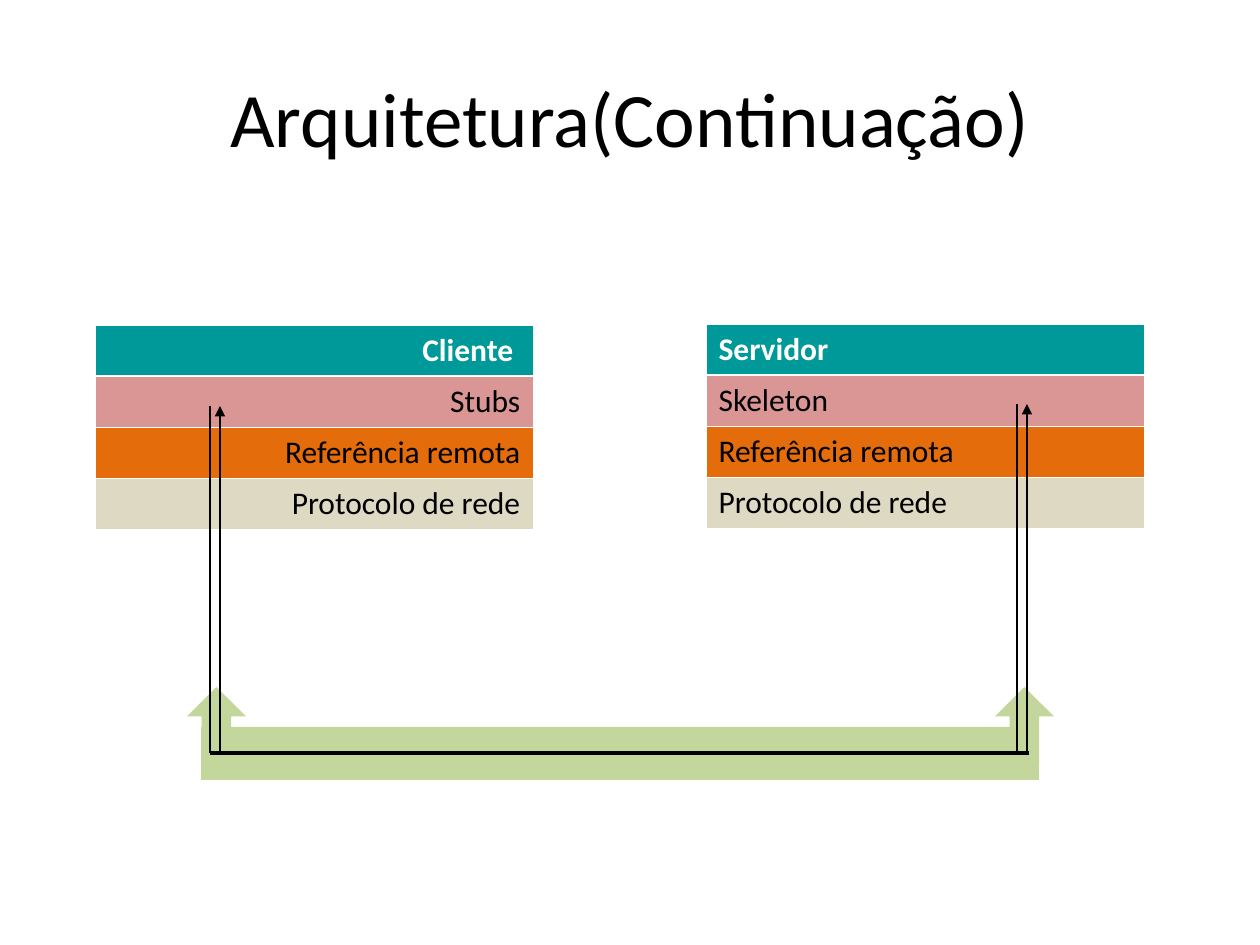
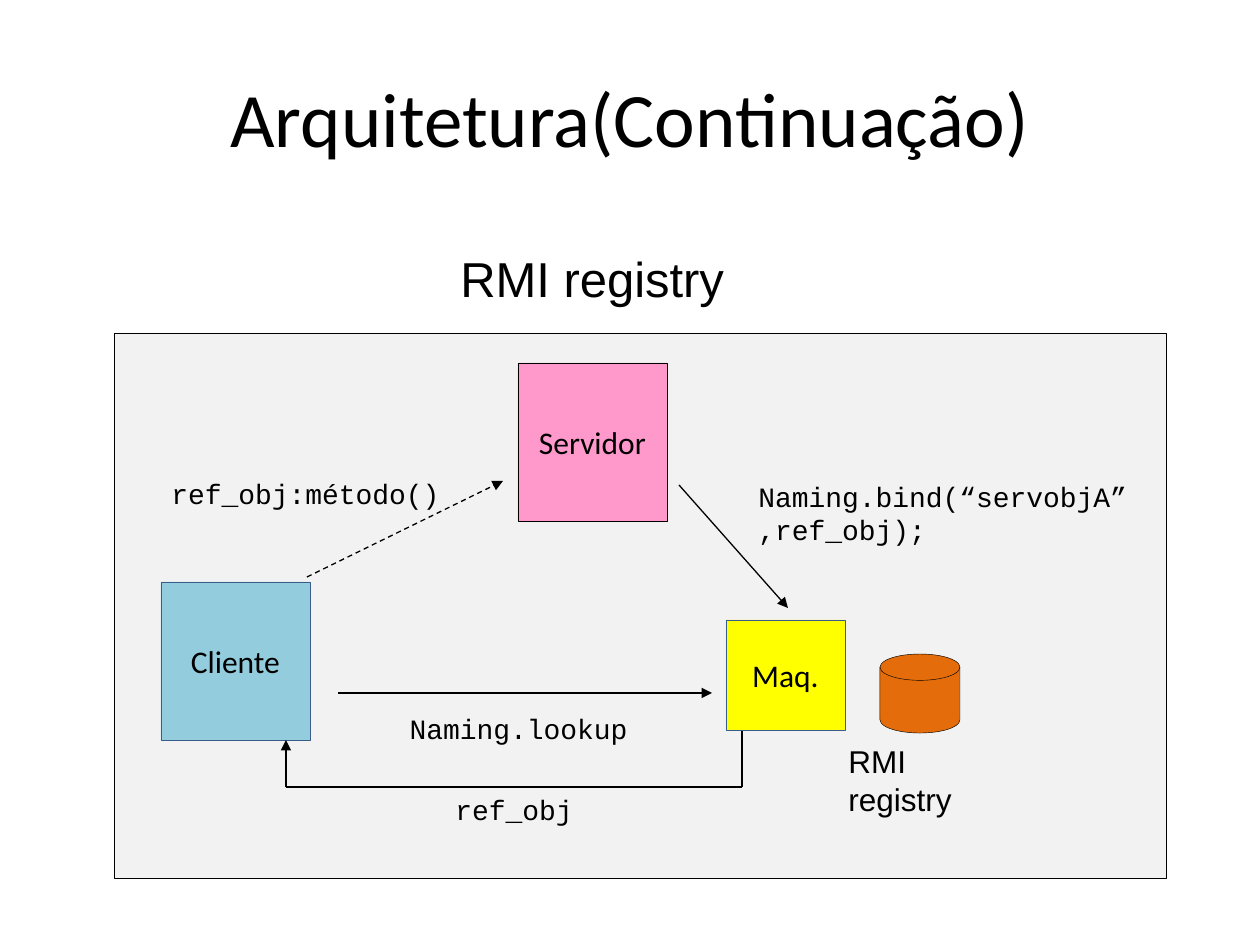
from pptx import Presentation
from pptx.util import Emu, Pt
from pptx.dml.color import RGBColor
from pptx.enum.dml import MSO_LINE
from pptx.enum.shapes import MSO_SHAPE as SHAPE, MSO_CONNECTOR
from pptx.enum.text import PP_ALIGN as ALIGN, MSO_ANCHOR as ANCHOR
from pptx.oxml.ns import qn
from lxml.etree import SubElement, Element

PX = 914400 // 126
HEX = {"black": "000000", "white": "FFFFFF", "teal": "009999",
       "rose": "D99694", "orange": "E46C0A", "sand": "DDD9C3",
       "green": "C3D69B", "panel": "F2F2F2", "pink": "FF99CC",
       "sky": "93CDDD", "navy": "385D8A", "yellow": "FFFF00"}
TITLE = "Arquitetura(Continuação)"
SANS, MONO, ARIAL = "Calibri", "Courier New", "Arial"
THIN, HAIR = 0.74, 0.26

# Slide 1: layer stacks as (left, top, align, rows)
FILLS = ["teal", "rose", "orange", "sand"]
STACKS = [
    (95, 325, ALIGN.RIGHT,
     ["Cliente ", "Stubs", "Referência remota", "Protocolo de rede"]),
    (706, 324, ALIGN.LEFT,
     ["Servidor ", "Skeleton", "Referência remota", "Protocolo de rede"]),
]
STACK_W, ROW_H = 438, 51
# Green channel: kind, left, top, width, height
CHANNEL = [(SHAPE.UP_ARROW, 187, 687, 59, 79),
           (SHAPE.UP_ARROW, 995, 687, 59, 79),
           (SHAPE.RECTANGLE, 201, 727, 838, 53)]
# Lines: x1, y1, x2, y2, width, arrow end, dashed
CALLS = [(1027, 751, 1027, 404, THIN, "tail", False),
         (1017, 404, 1017, 751, THIN, None, False),
         (220, 753, 220, 406, THIN, "tail", False),
         (210, 406, 210, 753, THIN, None, False),
         (210, 753, 1029, 753, 2.24, None, False)]

# Slide 2: kind, left, top, width, height, fill, outline, text
BOXES = [
    (SHAPE.RECTANGLE, 114, 333, 1052, 545, "panel", "black", ""),
    (SHAPE.RECTANGLE, 518, 363, 149, 158, "pink", "black", "Servidor"),
    (SHAPE.RECTANGLE, 161, 582, 149, 158, "sky", "navy", "Cliente"),
    (SHAPE.FLOWCHART_MAGNETIC_DISK, 880, 654, 80, 79, "orange", "black", ""),
    (SHAPE.RECTANGLE, 726, 620, 119, 110, "yellow", "navy", "Maq."),
]
# Labels: left, top, width, height, text, font, size, wrap, align
LABELS = [
    (159, 470, 294, 47, "ref_obj:método()", MONO, 16, False, ALIGN.LEFT),
    (746, 473, 399, 81, "Naming.bind(“servobjA”,ref_obj);", MONO, 16, True,
     ALIGN.LEFT),
    (369, 705, 299, 47, "Naming.lookup", MONO, 16, True, ALIGN.CENTER),
    (443, 786, 299, 47, "ref_obj", MONO, 16, True, ALIGN.LEFT),
    (448, 242, 289, 72, "RMI registry", ARIAL, 28, False, ALIGN.LEFT),
    (836, 736, 194, 50, "RMI registry", ARIAL, 18, False, ALIGN.LEFT),
]
FLOWS = [(679, 485, 788, 608, THIN, "tail", False),
         (307, 577, 503, 481, THIN, "tail", True),
         (338, 693, 712, 693, THIN, "tail", False),
         (286, 740, 286, 787, THIN, "head", False),
         (286, 787, 742, 787, THIN, None, False),
         (742, 787, 742, 731, THIN, None, False)]


def px(*nums):
    return [Emu(n * PX) for n in nums]


def rgb(name):
    return RGBColor.from_string(HEX[name])


def write(frame, text, font, size, align, color="black", bold=False):
    frame.text = text
    para = frame.paragraphs[0]
    para.alignment = align
    for run in para.runs:
        run.font.name, run.font.size, run.font.bold = font, Pt(size), bold
        run.font.color.rgb = rgb(color)


def new_slide():
    slide = deck.slides.add_slide(deck.slide_layouts[5])
    title = slide.shapes.title
    title.left, title.top, title.width, title.height = px(63, 38, 1134, 157)
    write(title.text_frame, TITLE, SANS, 44, ALIGN.CENTER)
    title.text_frame.vertical_anchor = ANCHOR.MIDDLE
    return slide


def add_box(slide, kind, x, y, w, h, fill, edge=None, text=""):
    box = slide.shapes.add_shape(kind, *px(x, y, w, h))
    box.shadow.inherit = False
    box.fill.solid()
    box.fill.fore_color.rgb = rgb(fill)
    if edge:
        box.line.color.rgb = rgb(edge)
        box.line.width = Pt(HAIR)
    else:
        box.line.fill.background()
    if text:
        write(box.text_frame, text, SANS, 18, ALIGN.CENTER)
        box.text_frame.vertical_anchor = ANCHOR.MIDDLE


def add_line(slide, x1, y1, x2, y2, width, arrow, dashed):
    line = slide.shapes.add_connector(MSO_CONNECTOR.STRAIGHT,
                                      *px(x1, y1, x2, y2))
    line.line.color.rgb = rgb("black")
    line.line.width = Pt(width)
    if dashed:
        line.line.dash_style = MSO_LINE.DASH
    props = line._element.spPr
    if arrow:
        SubElement(props.find(qn("a:ln")), qn(f"a:{arrow}End"),
                   type="triangle")
    SubElement(props, qn("a:effectLst"))


def add_edges(cell, row):
    # White borders, heavier between the header and the first layer
    props = cell._tc.get_or_add_tcPr()
    wide = {(0, "B"), (1, "T")}
    for spot, side in enumerate("LRTB"):
        width = 1.47 if (row, side) in wide else 0.45
        edge = Element(qn(f"a:ln{side}"), w=str(Pt(width)))
        fill = SubElement(edge, qn("a:solidFill"))
        SubElement(fill, qn("a:srgbClr"), val=HEX["white"])
        props.insert(spot, edge)


def add_stack(slide, x, y, align, rows):
    size = px(x, y, STACK_W, ROW_H * len(rows))
    table = slide.shapes.add_table(len(rows), 1, *size).table
    for i, (text, fill) in enumerate(zip(rows, FILLS)):
        table.rows[i].height = px(ROW_H)[0]
        cell = table.cell(i, 0)
        cell.fill.solid()
        cell.fill.fore_color.rgb = rgb(fill)
        head = i == 0
        write(cell.text_frame, text, SANS, 18, align,
              "white" if head else "black", head)
        add_edges(cell, i)


def add_label(slide, x, y, w, h, text, font, size, wrap, align):
    frame = slide.shapes.add_textbox(*px(x, y, w, h)).text_frame
    frame.word_wrap = wrap
    write(frame, text, font, size, align)


deck = Presentation()
deck.slide_width, deck.slide_height = px(1260, 945)

# Layers of client and server
slide = new_slide()
for stack in STACKS:
    add_stack(slide, *stack)
for part in CHANNEL:
    add_box(slide, *part, "green")
for call in CALLS:
    add_line(slide, *call)

# Registry diagram
slide = new_slide()
for box in BOXES:
    add_box(slide, *box)
for label in LABELS:
    add_label(slide, *label)
for flow in FLOWS:
    add_line(slide, *flow)

deck.save("out.pptx")
